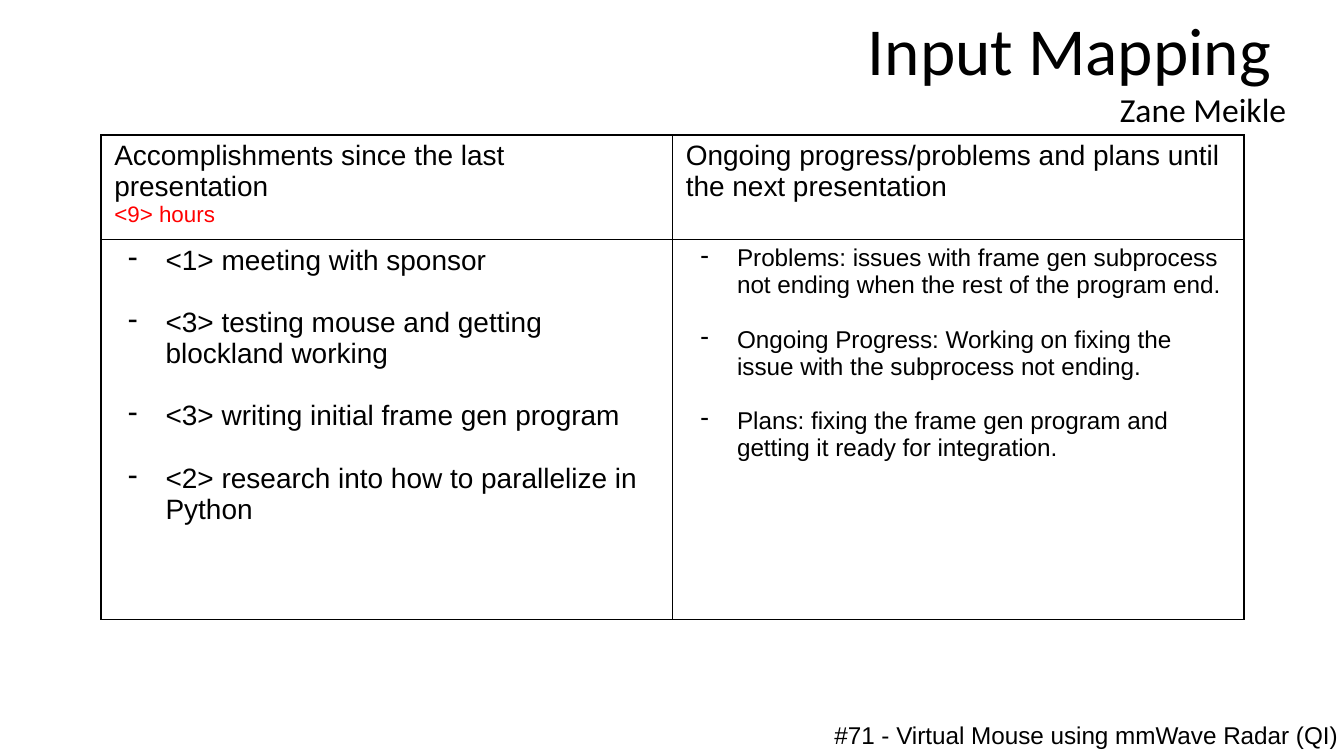
from dataclasses import dataclass

from lxml.etree import SubElement
from pptx import Presentation
from pptx.dml.color import RGBColor
from pptx.enum.text import PP_ALIGN
from pptx.oxml.ns import qn
from pptx.util import Cm, Pt


@dataclass(frozen=True)
class Theme:
    ink: str = "000000"
    red: str = "FF0000"
    body: str = "Arial"
    head: str = "Calibri"
    title: int = 36
    name: int = 18
    large: int = 15
    small: int = 13
    note: int = 12
    rule: float = 1


THEME = Theme()

DONE = [
    "<1> meeting with sponsor",
    "<3> testing mouse and getting blockland working",
    "<3> writing initial frame gen program",
    "<2> research into how to parallelize in Python",
]
NEXT = [
    "Problems: issues with frame gen subprocess not ending when the rest of the program end.",
    "Ongoing Progress: Working on fixing the issue with the subprocess not ending.",
    "Plans: fixing the frame gen program and getting it ready for integration.",
]


def apply(item, values):
    for key, value in values.items():
        setattr(item, key, value)


def write(frame, lines, face=THEME.body, align=PP_ALIGN.LEFT, hang=None, gap=0):
    for pos, (text, size, color) in enumerate(lines):
        para = frame.add_paragraph() if pos else frame.paragraphs[0]
        if hang:
            bullet(para, hang)
        para.alignment = align
        if pos and gap:
            para.space_before = Pt(gap)
        run = para.add_run()
        run.text = text
        apply(run.font, {"name": face, "size": Pt(size), "bold": False})
        run.font.color.rgb = RGBColor.from_string(color)


def bullet(para, hang):
    props = para._p.get_or_add_pPr()
    props.set("marL", str(Cm(0.97)))
    props.set("indent", str(-Cm(hang)))
    tone = SubElement(props, qn("a:buClr"))
    SubElement(tone, qn("a:srgbClr"), val=THEME.ink)
    SubElement(props, qn("a:buChar"), char="-")


def border(cell):
    props = cell._tc.get_or_add_tcPr()
    for side in "LRTB":
        line = SubElement(props, qn(f"a:ln{side}"), w=str(Pt(THEME.rule)))
        fill = SubElement(line, qn("a:solidFill"))
        SubElement(fill, qn("a:srgbClr"), val=THEME.ink)
    cell.fill.background()


def add_text(slide, box, pad):
    frame = slide.shapes.add_textbox(*map(Cm, box)).text_frame
    apply(frame, {
        "word_wrap": True,
        "margin_left": Cm(0.25), "margin_right": Cm(0.25),
        "margin_top": Cm(pad), "margin_bottom": Cm(pad),
    })
    return frame


def add_head(slide, box):
    lines = [("Input Mapping ", THEME.title, THEME.ink),
             ("Zane Meikle", THEME.name, THEME.ink)]
    write(add_text(slide, box, 0.13), lines, THEME.head, PP_ALIGN.RIGHT)


def add_grid(slide, box):
    left, top, width, height = box
    table = slide.shapes.add_table(2, 2, *map(Cm, box)).table
    apply(table, {"first_row": False, "horz_banding": False})
    first = 1.96
    for row, size in zip(table.rows, (first, height - first)):
        row.height = Cm(size)
    for col in table.columns:
        col.width = Cm(width / 2)
    for cell in table.iter_cells():
        apply(cell, {
            "margin_left": Cm(0.25), "margin_right": Cm(0.25),
            "margin_top": Cm(0.1), "margin_bottom": Cm(0.1),
        })
        border(cell)

    ink, large, small = THEME.ink, THEME.large, THEME.small
    write(table.cell(0, 0).text_frame, [
        ("Accomplishments since the last presentation", large, ink),
        ("<9> hours", THEME.note, THEME.red),
    ])
    write(table.cell(0, 1).text_frame, [
        ("Ongoing progress/problems and plans until the next presentation", large, ink),
    ])
    lists = [(DONE, large, 0.71, 16.7), (NEXT, small, 0.69, 14.6)]
    for col, (items, size, hang, gap) in enumerate(lists):
        lines = [(item, size, ink) for item in items]
        write(table.cell(1, col).text_frame, lines, hang=hang, gap=gap)


def add_foot(slide, box):
    line = ("#71 - Virtual Mouse using mmWave Radar (QI)", THEME.small, THEME.ink)
    write(add_text(slide, box, 0.25), [line])


def main():
    deck = Presentation()
    apply(deck, {"slide_width": Cm(25.4), "slide_height": Cm(14.29)})
    slide = deck.slides.add_slide(deck.slide_layouts[6])
    add_head(slide, (6.15, 0.03, 18.41, 2.57))
    add_grid(slide, (1.91, 2.55, 21.6, 9.14))
    add_foot(slide, (15.52, 13.36, 16.94, 1.47))
    deck.save("out.pptx")


if __name__ == "__main__":
    main()
